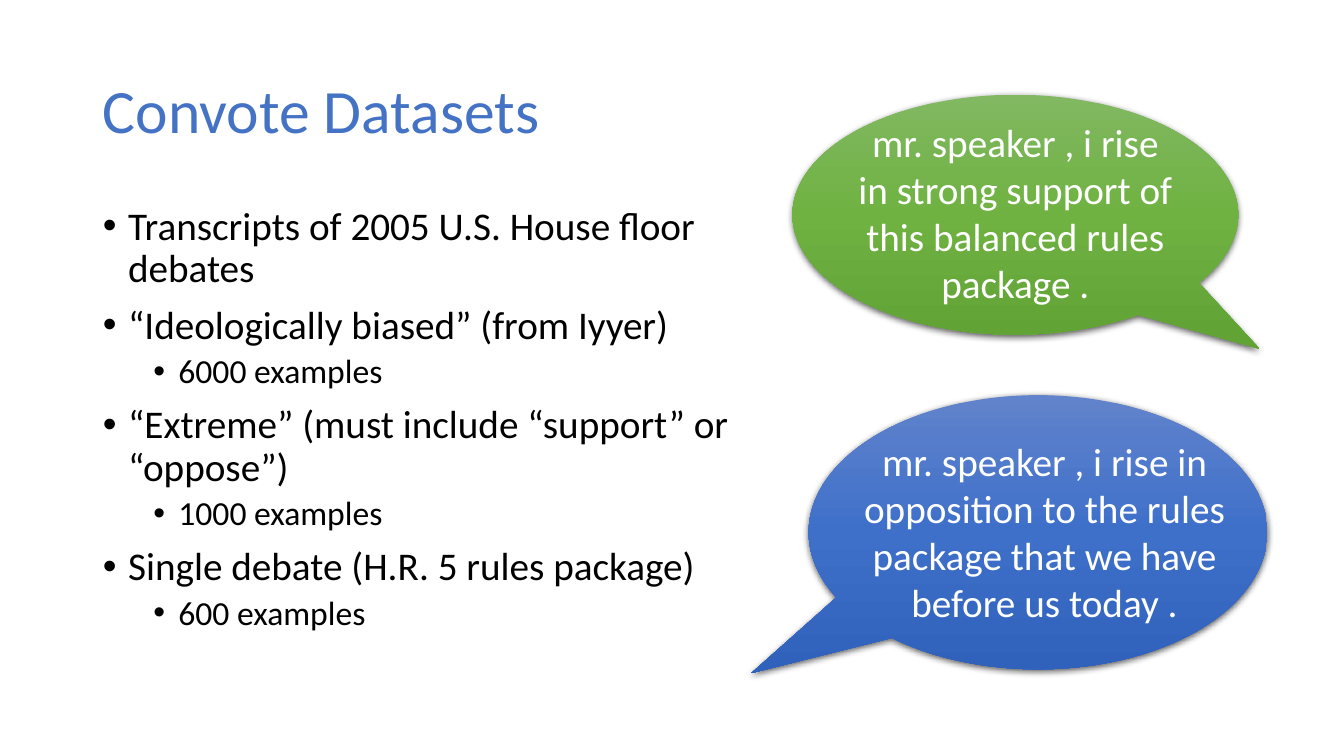
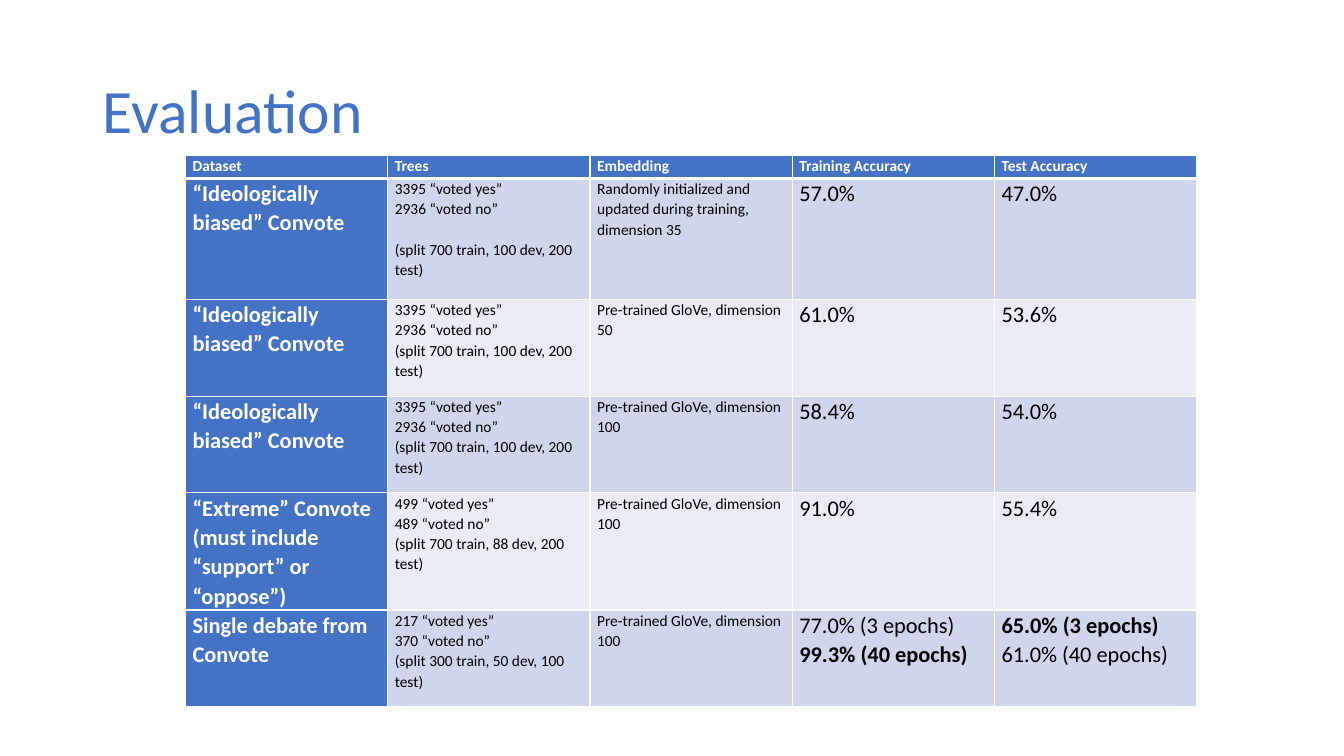
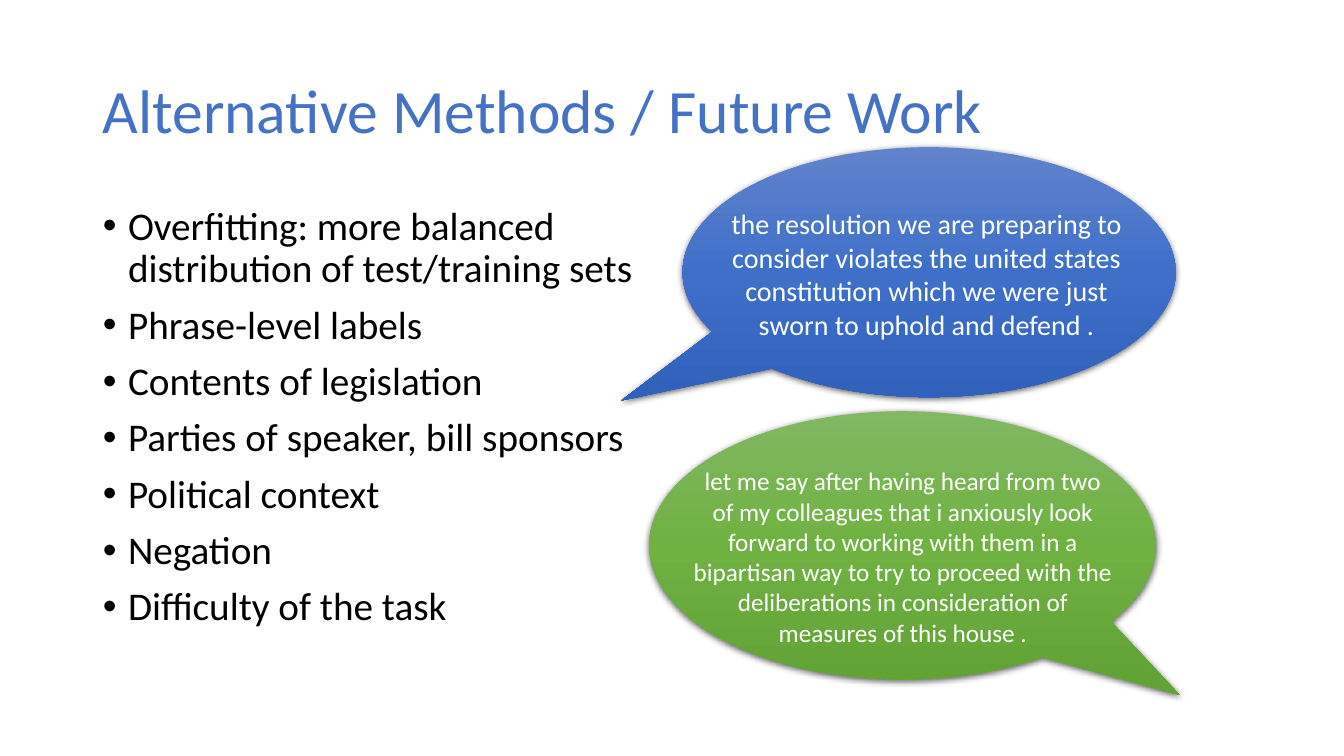
from copy import deepcopy

from lxml import etree
from pptx import Presentation
from pptx import util as u
from pptx.dml.color import RGBColor
from pptx.enum import shapes, text
from pptx.oxml import ns

PX = 9144  # EMU per px, 100 px to the inch
FONT = "Calibri"
COLORS = {
    "accent": "4472C4", "ink": "000000", "white": "FFFFFF",
    "band_dark": "CFD5EA", "band_light": "E9EBF5",
}
GREEN = {"stops": ("81B861", "6FB242", "62A336"), "tail": (0.548, 0.559)}
BLUE = {"stops": ("6183CB", "3E70CA", "3062BB"), "tail": (-0.625, 0.514)}
SHADOW = {"blurRad": "57150", "dist": "19050", "dir": "5400000",
          "algn": "ctr", "rotWithShape": "0"}
TITLE_BOX = (92, 40, 1150, 145)
BULLETS = (
    {"size": 28, "before": 10, "left": 25},
    {"size": 24, "before": 5, "left": 75},
)
HEADERS = ("Dataset", "Trees", "Embedding", "Training Accuracy", "Test Accuracy")
BIASED = "“Ideologically biased” Convote"
BIASED_TREES = ("3395 “voted yes”", "2936 “voted no”",
                "(split 700 train, 100 dev, 200 test)")
GLOVE = "Pre-trained GloVe, dimension "
RESULTS = (
    (BIASED, BIASED_TREES,
     "Randomly initialized and updated during training, dimension 35", "57.0%", "47.0%"),
    (BIASED, BIASED_TREES, GLOVE + "50", "61.0%", "53.6%"),
    (BIASED, BIASED_TREES, GLOVE + "100", "58.4%", "54.0%"),
    ("“Extreme” Convote (must include “support” or “oppose”)",
     ("499 “voted yes”", "489 “voted no”", "(split 700 train, 88 dev, 200 test)"),
     GLOVE + "100", "91.0%", "55.4%"),
    ("Single debate from Convote",
     ("217 “voted yes”", "370 “voted no”", "(split 300 train, 50 dev, 100 test)"),
     GLOVE + "100",
     ("77.0% (3 epochs)", "99.3% (40 epochs)"),
     ("65.0% (3 epochs)", "61.0% (40 epochs)")),
)
BEST = ("99.3% (40 epochs)", "65.0% (3 epochs)")
ROW_HEIGHTS = (23, 120, 96, 96, 96, 96)


def scaled(box):
    return [side * PX for side in box]


def add_child(parent, tag, **attributes):
    return etree.SubElement(parent, ns.qn(tag), attributes)


def place(shape, box):
    for name, value in zip(("left", "top", "width", "height"), scaled(box)):
        setattr(shape, name, value)


def write(para, words, size, color, bold=False, **paragraph_format):
    for name, value in paragraph_format.items():
        setattr(para, name, value)
    span = para.add_run()
    span.text = words
    for name, value in {"name": FONT, "size": u.Pt(size), "bold": bold}.items():
        setattr(span.font, name, value)
    span.font.color.rgb = RGBColor.from_string(COLORS[color])


def paragraphs(frame, count):
    """Yield the first paragraph of a frame and then new ones."""
    yield frame.paragraphs[0]
    for _ in range(count - 1):
        yield frame.add_paragraph()


def add_page(deck, layout, title):
    page = deck.slides.add_slide(deck.slide_layouts.get_by_name(layout))
    holder = page.shapes.title
    place(holder, TITLE_BOX)
    holder.text_frame.auto_size = text.MSO_AUTO_SIZE.NONE
    holder.text_frame.vertical_anchor = text.MSO_ANCHOR.MIDDLE
    write(holder.text_frame.paragraphs[0], title, 44, "accent",
          alignment=text.PP_ALIGN.LEFT, line_spacing=0.9)
    return page


def fill_body(page, box, items):
    """Write (level, words) items as bullets in the body placeholder."""
    holder = page.placeholders[1]
    place(holder, box)
    frame = holder.text_frame
    frame.auto_size = text.MSO_AUTO_SIZE.NONE
    for para, (level, words) in zip(paragraphs(frame, len(items)), items):
        style = BULLETS[level]
        write(para, words, style["size"], "ink", level=level,
              line_spacing=0.9, space_before=u.Pt(style["before"]))
        properties = para._p.get_or_add_pPr()
        properties.set("marL", str(style["left"] * PX))
        properties.set("indent", str(-25 * PX))
        add_child(properties, "a:buFont", typeface="Arial")
        add_child(properties, "a:buChar", char="•")


def add_callout(page, box, look, words, size, text_box):
    """Draw a speech bubble; text_box is relative to the bubble's corner."""
    bubble = page.shapes.add_shape(
        shapes.MSO_SHAPE.OVAL_CALLOUT, *scaled(box))
    for index, value in enumerate(look["tail"]):
        bubble.adjustments[index] = value
    bubble.line.fill.background()
    bubble.fill.gradient()
    bubble.fill.gradient_angle = 270
    properties = bubble._element.spPr
    stop_list = properties.find(".//" + ns.qn("a:gsLst"))
    stop_list.append(deepcopy(stop_list[0]))
    for index, stop in enumerate(bubble.fill.gradient_stops):
        stop.position = index / 2
        stop.color.rgb = RGBColor.from_string(look["stops"][index])
    bubble.shadow.inherit = False
    shadow = add_child(properties.find(ns.qn("a:effectLst")), "a:outerShdw", **SHADOW)
    shade = add_child(shadow, "a:srgbClr", val=COLORS["ink"])
    add_child(shade, "a:alpha", val="63000")

    left, top, width, height = text_box
    label = page.shapes.add_textbox(
        *scaled((box[0] + left, box[1] + top, width, height)))
    label.text_frame.word_wrap = True
    label.text_frame.auto_size = text.MSO_AUTO_SIZE.SHAPE_TO_FIT_TEXT
    write(label.text_frame.paragraphs[0], words, size, "white",
          alignment=text.PP_ALIGN.CENTER)


def set_borders(cell, bottom):
    properties = cell._tc.get_or_add_tcPr()
    widths = {"a:lnL": 1, "a:lnR": 1, "a:lnT": 1, "a:lnB": bottom}
    for index, (tag, width) in enumerate(widths.items()):
        line = add_child(properties, tag, w=str(u.Pt(width)))
        add_child(add_child(line, "a:solidFill"), "a:srgbClr", val=COLORS["white"])
        properties.insert(index, line)


def fill_cell(cell, row, column, content):
    heading = row == 0 or column == 0
    band = "band_dark" if row % 2 else "band_light"
    size = 11 if row == 0 or column in (1, 2) else 16
    margins = {"margin_left": 7, "margin_right": 7, "margin_top": 0, "margin_bottom": 0}
    for name, value in margins.items():
        setattr(cell, name, value * PX)
    cell.fill.solid()
    cell.fill.fore_color.rgb = RGBColor.from_string(COLORS["accent" if heading else band])
    set_borders(cell, 3 if row == 0 else 1)
    lines = (content,) if isinstance(content, str) else content
    for para, words in zip(paragraphs(cell.text_frame, len(lines)), lines):
        write(para, words, size, "white" if heading else "ink",
              heading or words in BEST, line_spacing=1.07)
    if (row, column) == (1, 1):
        para.space_before = u.Pt(14.4)


def add_results(page, box):
    grid = page.shapes.add_table(len(RESULTS) + 1, len(HEADERS), *scaled(box)).table
    grid.horz_banding = False
    for column in grid.columns:
        column.width = box[2] * PX // len(HEADERS)
    for row, content in enumerate((HEADERS, *RESULTS)):
        grid.rows[row].height = ROW_HEIGHTS[row] * PX
        for column, words in enumerate(content):
            fill_cell(grid.cell(row, column), row, column, words)


def datasets_page(deck):
    page = add_page(deck, "Title and Content", "Convote Datasets")
    fill_body(page, (92, 200, 673, 476), (
        (0, "Transcripts of 2005 U.S. House floor debates"),
        (0, "“Ideologically biased” (from Iyyer)"),
        (1, "6000 examples"),
        (0, "“Extreme” (must include “support” or “oppose”)"),
        (1, "1000 examples"),
        (0, "Single debate (H.R. 5 rules package)"),
        (1, "600 examples"),
    ))
    add_callout(page, (786, 94, 442, 238), GREEN,
                "mr. speaker , i rise in strong support of this balanced rules package .",
                28, (52, 18, 338, 199))
    add_callout(page, (802, 392, 455, 272), BLUE,
                "mr. speaker , i rise in opposition to the rules package "
                "that we have before us today .",
                28, (36, 37, 396, 199))


def evaluation_page(deck):
    page = add_page(deck, "Title Only", "Evaluation")
    add_results(page, (184, 154, 1003, sum(ROW_HEIGHTS)))


def future_page(deck):
    page = add_page(deck, "Title and Content", "Alternative Methods / Future Work")
    topics = (
        "Overfitting: more balanced distribution of test/training sets",
        "Phrase-level labels", "Contents of legislation",
        "Parties of speaker, bill sponsors", "Political context",
        "Negation", "Difficulty of the task",
    )
    fill_body(page, (92, 200, 619, 476), [(0, topic) for topic in topics])
    add_callout(page, (677, 146, 489, 248), BLUE,
                "the resolution we are preparing to consider violates the united states "
                "constitution which we were just sworn to uphold and defend .",
                20, (34, 54, 416, 145))
    add_callout(page, (644, 408, 502, 266), GREEN,
                "let me say after having heard from two of my colleagues that i anxiously "
                "look forward to working with them in a bipartisan way to try to proceed "
                "with the deliberations in consideration of measures of this house .",
                18, (33, 49, 437, 192))


def main():
    deck = Presentation()
    deck.slide_width, deck.slide_height = scaled((1333, 750))
    for build in (datasets_page, evaluation_page, future_page):
        build(deck)
    deck.save("out.pptx")


if __name__ == "__main__":
    main()
